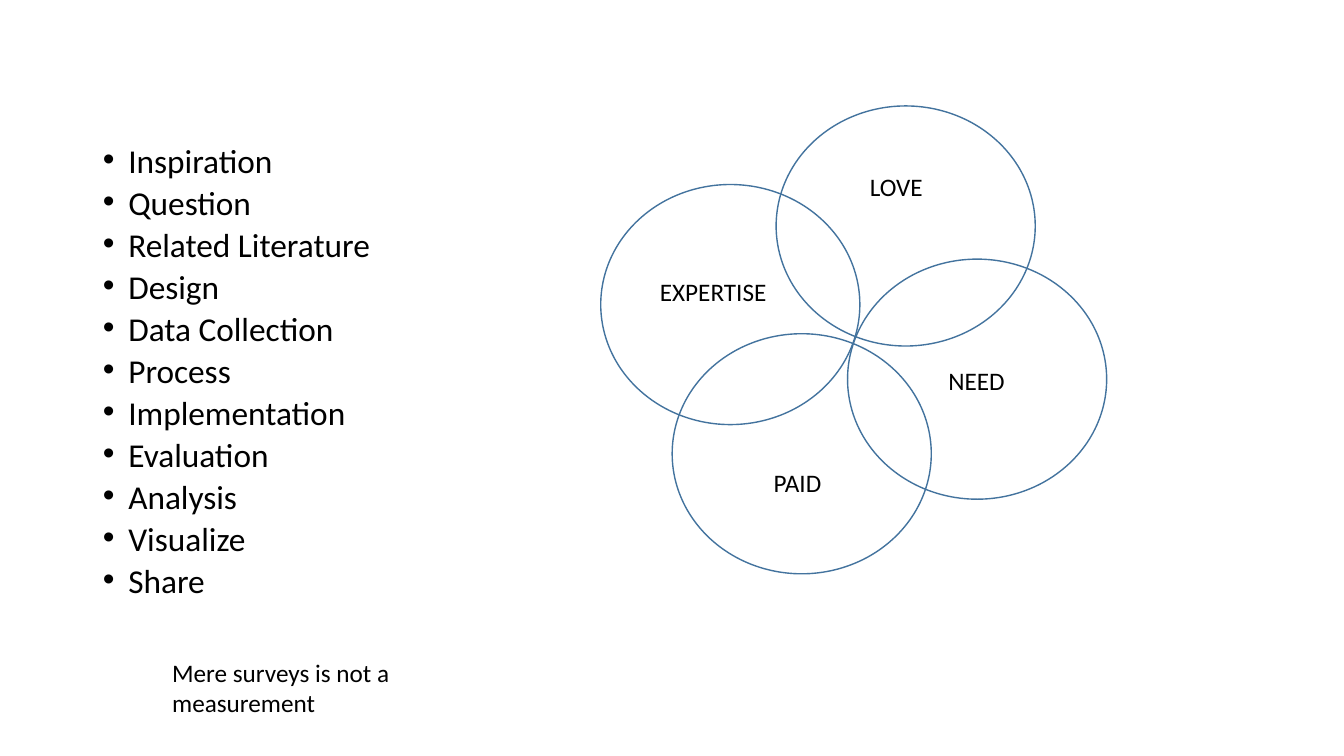
from pptx import Presentation
from pptx.dml.color import RGBColor
from pptx.enum import shapes, text
from pptx.util import Cm, Pt

BLACK = RGBColor(0x00, 0x00, 0x00)
BLUE = RGBColor(0x43, 0x73, 0x9E)
FONT = "Calibri"

STEPS = ["Inspiration", "Question", "Related Literature", "Design",
         "Data Collection", "Process", "Implementation", "Evaluation",
         "Analysis", "Visualize", "Share"]

# Circle left, top; label text, left, top, width (cm)
CIRCLES = [
    (15.14, 4.65, "EXPERTISE", 16.38, 6.83, 3.23),
    (16.94, 8.41, "PAID", 19.25, 11.66, 1.73),
    (21.36, 6.53, "NEED", 23.65, 9.09, 1.96),
    (19.56, 2.67, "LOVE", 21.67, 4.19, 1.85),
]


def style(p, size):
    for r in p.runs:
        r.font.name = FONT
        r.font.size = Pt(size)
        r.font.color.rgb = BLACK


def add_text(s, words, left, top, width, height, wrap):
    tb = s.shapes.add_textbox(Cm(left), Cm(top), Cm(width), Cm(height))
    tf = tb.text_frame
    tf.text = words
    tf.word_wrap = wrap
    tf.auto_size = text.MSO_AUTO_SIZE.SHAPE_TO_FIT_TEXT
    style(tf.paragraphs[0], 18)


prs = Presentation()
prs.slide_width, prs.slide_height = Cm(33.87), Cm(19.05)
s = prs.slides.add_slide(prs.slide_layouts[1])

# The slide has no title
title = s.shapes.title
title.element.getparent().remove(title.element)

# Research steps
body = s.placeholders[1]
body.left, body.top, body.width, body.height = Cm(2.34), Cm(3.68), Cm(8.61), Cm(12.09)
tf = body.text_frame
tf.text = "\n".join(STEPS)
tf.auto_size = text.MSO_AUTO_SIZE.NONE
tf.vertical_anchor = text.MSO_ANCHOR.TOP
for p in tf.paragraphs:
    p.line_spacing = 0.7
    p.space_before = Pt(10)
    pPr = p._p.get_or_add_pPr()
    pPr.set("marL", str(Cm(0.64)))
    pPr.set("indent", str(-Cm(0.64)))
    style(p, 23.8)

# Remark under the list
add_text(s, "Mere surveys is not a measurement", 4.09, 16.43, 7.59, 1.8, True)

# Overlapping circles
for left, top, *_ in CIRCLES:
    sp = s.shapes.add_shape(shapes.MSO_SHAPE.OVAL, Cm(left), Cm(top), Cm(6.53), Cm(6.05))
    sp.shadow.inherit = False
    sp.fill.background()
    sp.line.color.rgb = BLUE
    sp.line.width = Pt(1)

# Circle labels
for _, _, label, left, top, width in CIRCLES:
    add_text(s, label, left, top, width, 1.03, False)

prs.save("out.pptx")
